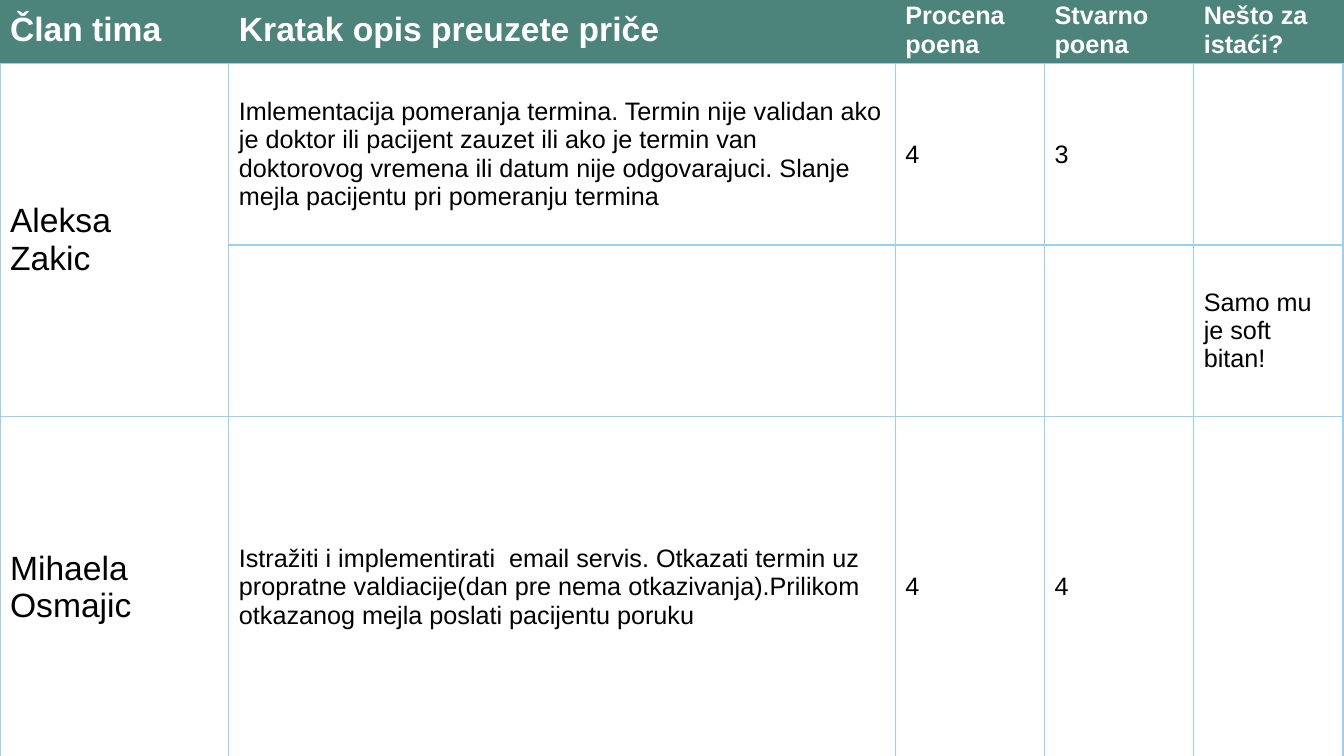
from lxml import etree
from pptx import Presentation
from pptx import util as u
from pptx.dml.color import RGBColor
from pptx.enum import text
from pptx.oxml.ns import qn

COLORS = {"header": "4C847B", "border": "98D1F6", "white": "FFFFFF", "black": "000000"}
COLUMN_WIDTHS = [2.27, 6.61, 1.48, 1.48, 1.48]
ROW_HEIGHTS = [0.66, 1.8, 1.7, 3.39]
ROWS = [
    ["Član tima", "Kratak opis preuzete priče", "Procena poena", "Stvarno poena", "Nešto za istaći?"],
    ["Aleksa\nZakic",
     "Imlementacija pomeranja termina. Termin nije validan ako je doktor ili pacijent zauzet "
     "ili ako je termin van doktorovog vremena ili datum nije odgovarajuci. "
     "Slanje mejla pacijentu pri pomeranju termina",
     "4", "3", ""],
    ["", "", "", "", "Samo mu je soft bitan!"],
    ["Mihaela Osmajic",
     "Istražiti i implementirati  email servis. Otkazati termin uz propratne "
     "valdiacije(dan pre nema otkazivanja).Prilikom otkazanog mejla poslati pacijentu poruku",
     "4", "4", ""],
]


def rgb(name):
    return RGBColor.from_string(COLORS[name])


def set_border(cell, side, color, width):
    line = etree.SubElement(cell._tc.get_or_add_tcPr(), qn(f"a:ln{side}"), w=str(u.Pt(width)))
    fill = etree.SubElement(line, qn("a:solidFill"))
    etree.SubElement(fill, qn("a:srgbClr"), val=COLORS[color])


def format_cell(cell, content, size, header):
    for side in "LRTB":
        if header and side != "B":
            set_border(cell, side, "header", 0.5)
        else:
            set_border(cell, side, "border", 0.96)
    cell.fill.solid()
    cell.fill.fore_color.rgb = rgb("header" if header else "white")
    cell.vertical_anchor = text.MSO_ANCHOR.MIDDLE
    cell.text = content
    for paragraph in cell.text_frame.paragraphs:
        font = paragraph.font
        font.name = "Arial"
        font.size = u.Pt(size)
        font.bold = header
        font.color.rgb = rgb("white" if header else "black")


def add_story_table(slide):
    frame = slide.shapes.add_table(
        len(ROWS), len(COLUMN_WIDTHS), u.Inches(0), u.Inches(-0.03),
        u.Inches(sum(COLUMN_WIDTHS)), u.Inches(sum(ROW_HEIGHTS)))
    table = frame.table
    table.horz_banding = False
    for column, width in zip(table.columns, COLUMN_WIDTHS):
        column.width = u.Inches(width)
    for row, height in zip(table.rows, ROW_HEIGHTS):
        row.height = u.Inches(height)
    for row_index, contents in enumerate(ROWS):
        header = row_index == 0
        for column_index, content in enumerate(contents):
            large = column_index == 0 or (header and column_index == 1)
            format_cell(table.cell(row_index, column_index), content, 24 if large else 18, header)
    table.cell(1, 0).merge(table.cell(2, 0))


def main():
    presentation = Presentation()
    presentation.slide_width = u.Inches(13.33)
    presentation.slide_height = u.Inches(7.5)
    slide = presentation.slides.add_slide(presentation.slide_layouts[6])
    add_story_table(slide)
    presentation.save("out.pptx")


if __name__ == "__main__":
    main()
